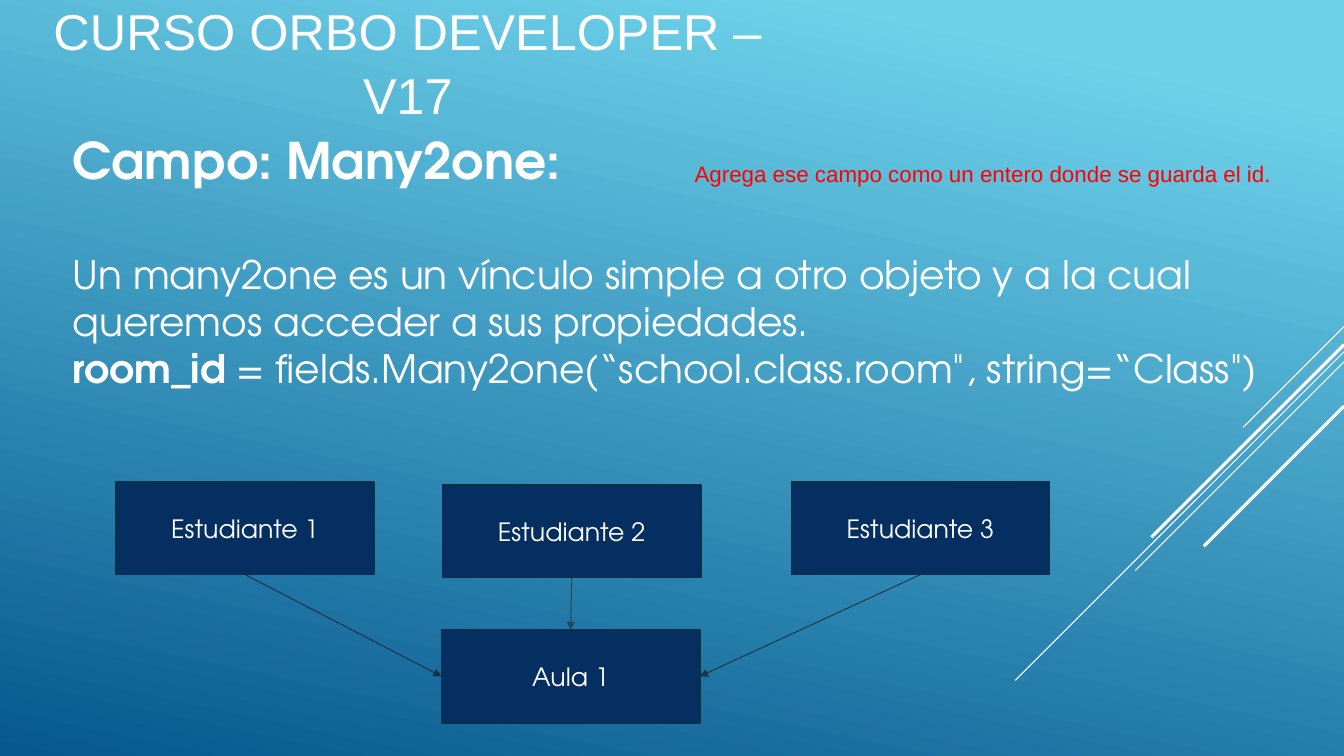
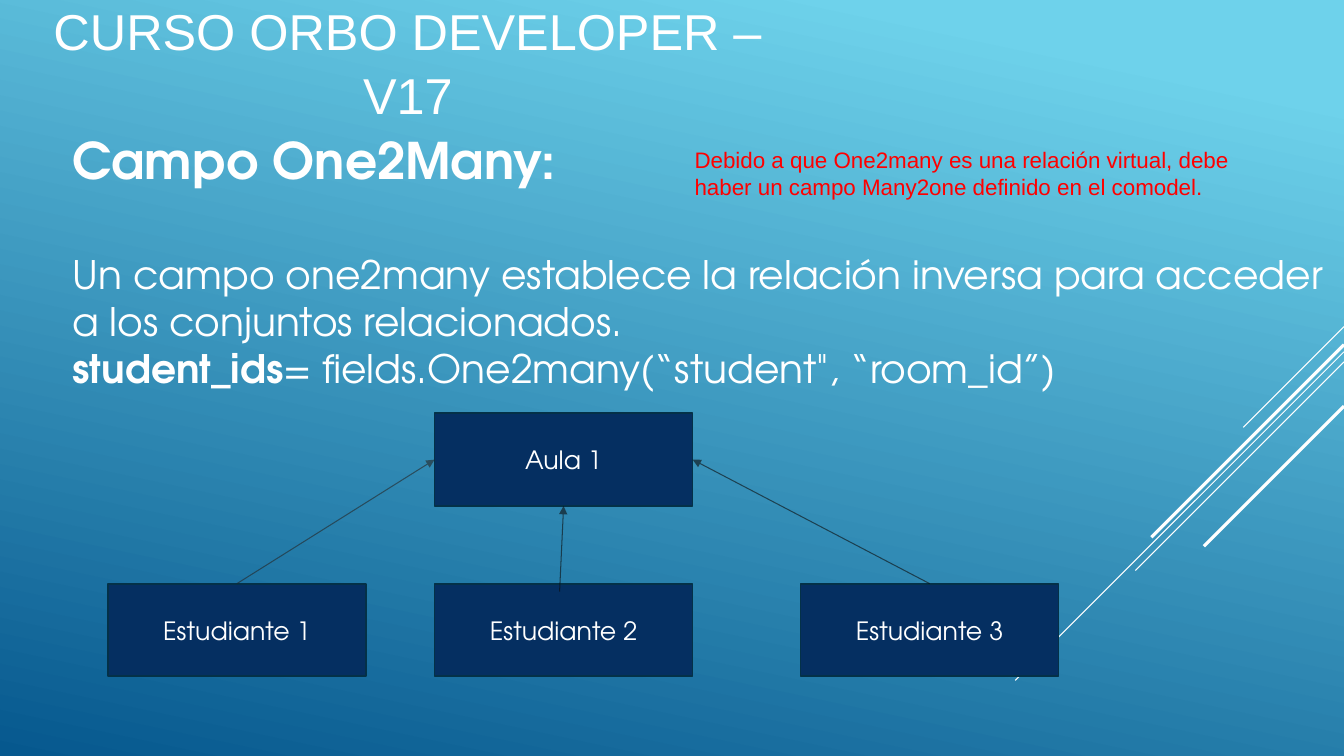
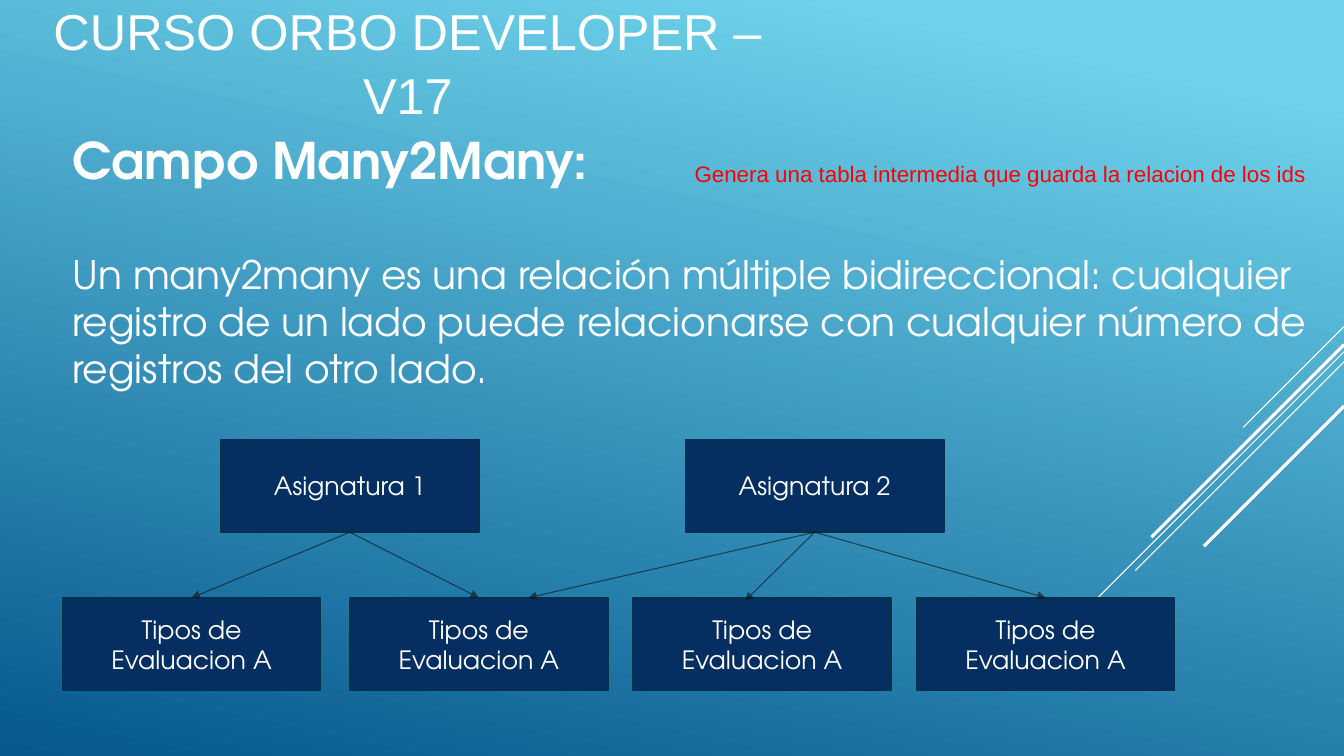
from lxml import etree
from pptx import Presentation
from pptx.dml.color import RGBColor
from pptx.enum.shapes import MSO_CONNECTOR, MSO_SHAPE
from pptx.enum.text import MSO_ANCHOR, PP_ALIGN
from pptx.oxml.ns import qn
from pptx.util import Inches, Pt

WHITE = RGBColor(0xFF, 0xFF, 0xFF)
SKY = RGBColor(0x6E, 0xD2, 0xEB)
OCEAN = RGBColor(0x06, 0x58, 0x8E)
NAVY = RGBColor(0x05, 0x2F, 0x61)
NAVY_EDGE = RGBColor(0x04, 0x31, 0x48)
INK = RGBColor(0x0D, 0x0D, 0x0D)
SOFT_INK = RGBColor(0x26, 0x26, 0x26)
RED = RGBColor(0xFF, 0x00, 0x00)

CENTER, LEFT = PP_ALIGN.CENTER, PP_ALIGN.LEFT
TOP, MIDDLE = MSO_ANCHOR.TOP, MSO_ANCHOR.MIDDLE
STRAIGHT = MSO_CONNECTOR.STRAIGHT
RECTANGLE = MSO_SHAPE.RECTANGLE
SITE_TOP, SITE_LEFT, SITE_BOTTOM, SITE_RIGHT = range(4)

SANS = "Arial"
GEOMETRIC = "TeX Gyre Adventor"
WIDTH, HEIGHT = 13.33, 7.5
BOX_WIDTH, BOX_HEIGHT = 2.56, 0.92
COURSE = "CURSO ORBO DEVELOPER – V17"
DIAGONALS = [
    (3.24, 1.0, 0.75),
    (3.49, 3.26, 0.75),
    (3.59, 2.07, 0.75),
    (3.42, 1.91, 2.25),
    (4.03, 1.39, 2.25),
]


class Deck:
    def __init__(self):
        self.presentation = Presentation()
        self.presentation.slide_width = Inches(WIDTH)
        self.presentation.slide_height = Inches(HEIGHT)
        self.slide = None

    def new_slide(self, heading, body, note):
        self.slide = self.presentation.slides.add_slide(self.presentation.slide_layouts[6])
        self.background()
        for top, run, weight in DIAGONALS:
            line = self.line(WHITE, weight)
            line.begin_x, line.begin_y = Inches(WIDTH), Inches(top)
            line.end_x, line.end_y = Inches(WIDTH - run), Inches(top + run)
        title = self.text_box(0.24, 0.23, 7.61, 0.75, MIDDLE)
        self.paragraph(title, [(COURSE, False)], SANS, 36, align=CENTER).line_spacing = 1.05
        frame = self.text_box(0.62, 1.23, 12.7, 2.73)
        self.paragraph(frame, [(heading, True)], GEOMETRIC, 36)
        for index, runs in enumerate(body):
            paragraph = self.paragraph(frame, runs, GEOMETRIC, 28)
            if index == 0:
                paragraph.space_before = Pt(43.2)
        frame = self.text_box(6.79, 1.4, 6.4, 0.64, MIDDLE)
        for text in note:
            self.paragraph(frame, [(text, False)], SANS, 16, RED)

    def background(self):
        fill = self.slide.background.fill
        fill.gradient()
        fill.gradient_angle = 258
        for stop, position, color in zip(fill.gradient_stops, (0.1, 1), (SKY, OCEAN)):
            stop.position = position
            stop.color.rgb = color

    def text_box(self, left, top, width, height, anchor=TOP):
        shape = self.slide.shapes.add_textbox(
            Inches(left), Inches(top), Inches(width), Inches(height))
        shape.text_frame.word_wrap = True
        shape.text_frame.vertical_anchor = anchor
        return shape.text_frame

    def paragraph(self, frame, runs, font, size, color=WHITE, align=LEFT):
        first = frame.paragraphs[0]
        paragraph = frame.add_paragraph() if first.runs else first
        paragraph.alignment = align
        for text, bold in runs:
            run = paragraph.add_run()
            run.text = text
            run.font.name = font
            run.font.size = Pt(size)
            run.font.bold = bold
            run.font.color.rgb = color
        return paragraph

    def box(self, text, left, top):
        shape = self.slide.shapes.add_shape(
            RECTANGLE, Inches(left), Inches(top), Inches(BOX_WIDTH), Inches(BOX_HEIGHT))
        shape.shadow.inherit = False
        shape.fill.solid()
        shape.fill.fore_color.rgb = NAVY
        shape.line.color.rgb = NAVY_EDGE
        shape.line.width = Pt(1.25)
        shape.text_frame.word_wrap = True
        shape.text_frame.vertical_anchor = MIDDLE
        self.paragraph(shape.text_frame, [(text, False)], GEOMETRIC, 18, align=CENTER)
        return shape

    def line(self, color, weight):
        connector = self.slide.shapes.add_connector(STRAIGHT, 0, 0, 0, 0)
        connector.line.color.rgb = color
        connector.line.width = Pt(weight)
        etree.SubElement(connector._element.spPr, qn("a:effectLst"))
        return connector

    def arrow(self, source, source_site, target, target_site,
              color=INK, start_at=None, end_at=None):
        connector = self.line(color, 0.75)
        if start_at:
            connector.begin_x, connector.begin_y = map(Inches, start_at)
        else:
            connector.begin_connect(source, source_site)
        if end_at:
            connector.end_x, connector.end_y = map(Inches, end_at)
        else:
            connector.end_connect(target, target_site)
        outline = connector._element.spPr.find(qn("a:ln"))
        tint = outline.find(qn("a:solidFill")).find(qn("a:srgbClr"))
        etree.SubElement(tint, qn("a:alpha"), val="60000")
        etree.SubElement(outline, qn("a:tailEnd"), type="triangle")

    def students(self, places):
        return [self.box(f"Estudiante {number}", left, top)
                for number, (left, top) in enumerate(places, 1)]


def many2one(deck):
    deck.new_slide(
        "Campo: Many2one:",
        [[("Un many2one es un vínculo simple a otro objeto y a la cual "
           "queremos acceder a sus propiedades.", False)],
         [("room_id ", True),
          ("= fields.Many2one(“school.class.room\", string=“Class\")", False)]],
        ["Agrega ese campo como un entero donde se guarda el id."])
    first, second, third = deck.students([(1.15, 4.78), (4.39, 4.81), (7.85, 4.78)])
    room = deck.box("Aula 1", 4.38, 6.25)
    deck.arrow(first, SITE_BOTTOM, room, SITE_LEFT)
    deck.arrow(second, SITE_BOTTOM, room, SITE_TOP, SOFT_INK)
    deck.arrow(third, SITE_BOTTOM, room, SITE_RIGHT)


def one2many(deck):
    deck.new_slide(
        "Campo One2Many:",
        [[("Un campo one2many establece la relación inversa para acceder "
           "a los conjuntos relacionados.", False)],
         [("student_ids", True), ("= fields.One2many(“student\", “room_id”)", False)]],
        ["Debido a que One2many es una relación virtual, debe",
         "haber un campo Many2one definido en el comodel."])
    first, second, third = deck.students([(left, 5.79) for left in (1.07, 4.31, 7.94)])
    room = deck.box("Aula 1", 4.31, 4.1)
    deck.arrow(first, SITE_TOP, room, SITE_LEFT, SOFT_INK)
    deck.arrow(second, SITE_TOP, room, SITE_BOTTOM, start_at=(5.55, 5.87))
    deck.arrow(third, SITE_TOP, room, SITE_RIGHT)


def many2many(deck):
    deck.new_slide(
        "Campo Many2Many:",
        [[("Un many2many es una relación múltiple bidireccional: cualquier "
           "registro de un lado puede relacionarse con cualquier número de "
           "registros del otro lado.", False)]],
        ["Genera una tabla intermedia que guarda la relacion de los ids"])
    subjects = [deck.box(f"Asignatura {number}", left, 4.36)
                for number, left in enumerate((2.19, 6.8), 1)]
    kinds = [deck.box("Tipos de Evaluacion A", left, 5.93)
             for left in (0.62, 3.47, 6.28, 9.09)]
    links = [
        (0, 0, None),
        (1, 2, (7.39, 5.96)),
        (1, 1, (5.24, 5.93)),
        (1, 3, None),
        (0, 1, None),
    ]
    for subject, kind, end_at in links:
        deck.arrow(subjects[subject], SITE_BOTTOM, kinds[kind], SITE_TOP, end_at=end_at)


def main():
    deck = Deck()
    many2one(deck)
    one2many(deck)
    many2many(deck)
    deck.presentation.save("out.pptx")


if __name__ == "__main__":
    main()
